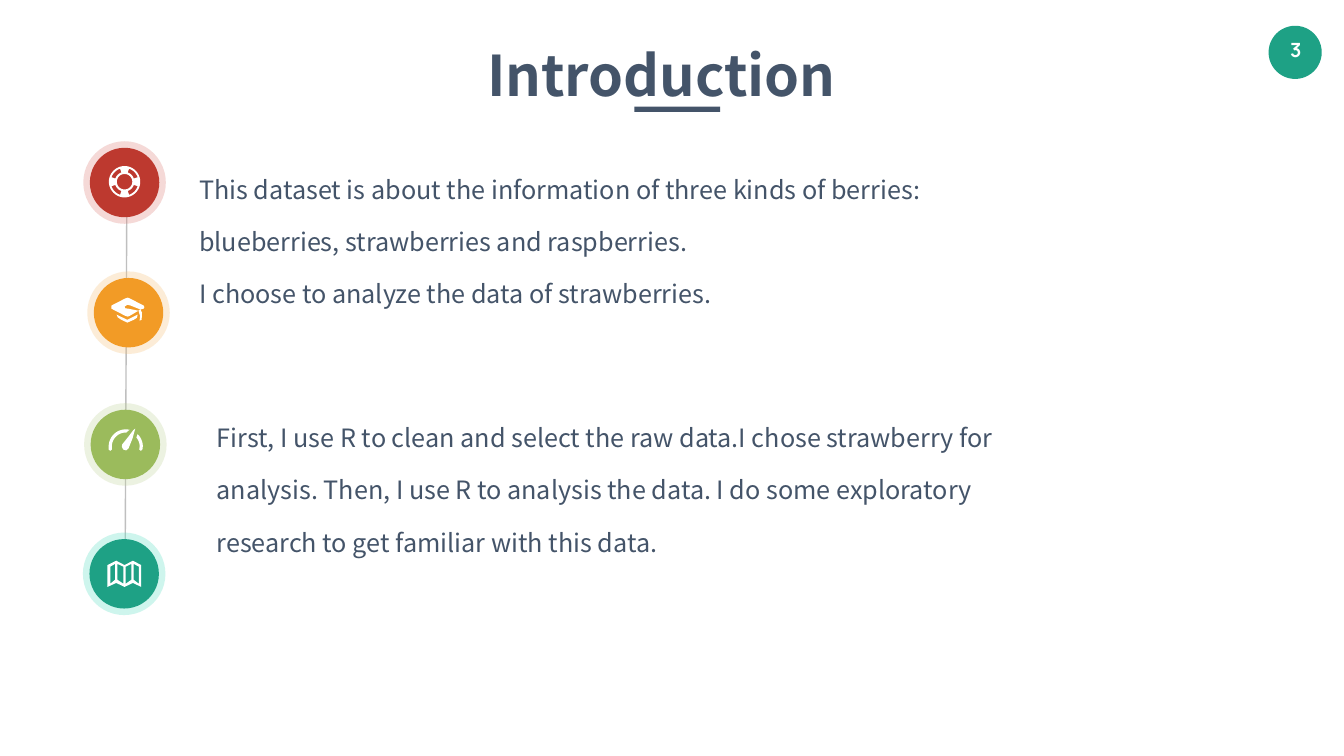
from dataclasses import dataclass
from math import cos, radians, sin

from lxml import etree
from pptx import Presentation
from pptx.dml.color import RGBColor
from pptx.enum.shapes import MSO_CONNECTOR, MSO_SHAPE
from pptx.enum.text import PP_ALIGN
from pptx.oxml.ns import qn
from pptx.util import Cm, Pt

OVAL, RECT = MSO_SHAPE.OVAL, MSO_SHAPE.RECTANGLE
LINE = MSO_CONNECTOR.STRAIGHT
CENTER, JUST = PP_ALIGN.CENTER, PP_ALIGN.JUSTIFY


@dataclass(frozen=True)
class Theme:
    ink: str = "445469"
    white: str = "FFFFFF"
    rail: str = "BFBFBF"
    red: tuple = ("BD392F", "DE827B")
    orange: tuple = ("F29B26", "F7C37D")
    green: tuple = ("9BBB5C", "C3D69D")
    teal: tuple = ("1EA185", "5EE1C5")
    font: str = "Noto Sans CJK SC"
    digit: str = "Manrope"
    title: int = 40
    body: int = 18
    page: int = 14


class Deck:
    def __init__(self, theme):
        self.theme = theme
        self.prs = Presentation()
        self.prs.slide_width, self.prs.slide_height = Cm(33.87), Cm(19.05)
        self.shapes = self.prs.slides.add_slide(self.prs.slide_layouts[6]).shapes

    def paint(self, shape, color, alpha=None):
        shape.shadow.inherit = False
        shape.fill.solid()
        shape.fill.fore_color.rgb = RGBColor.from_string(color)
        shape.line.fill.background()
        if alpha:
            tint = shape.fill._xPr.find(".//" + qn("a:srgbClr"))
            etree.SubElement(tint, qn("a:alpha"), val=str(alpha * 1000))

    def block(self, kind, x, y, w, h, color, alpha=None):
        shape = self.shapes.add_shape(kind, Cm(x), Cm(y), Cm(w), Cm(h))
        self.paint(shape, color, alpha)

    def disc(self, x, y, size, color, alpha=None):
        self.block(OVAL, x - size / 2, y - size / 2, size, size, color, alpha)

    def rule(self, x1, y1, x2, y2, color):
        line = self.shapes.add_connector(LINE, Cm(x1), Cm(y1), Cm(x2), Cm(y2))
        line.line.color.rgb = RGBColor.from_string(color)
        line.line.width = Pt(1)
        etree.SubElement(line._element.spPr, qn("a:effectLst"))

    def icon(self, x, y, loops):
        """Loops hold points in hundredths of a centimetre around (x, y)."""
        build = None
        for loop in loops:
            pts = [(x * 1000 + 10 * px, y * 1000 + 10 * py) for px, py in loop]
            if build is None:
                build = self.shapes.build_freeform(*pts[0], scale=Cm(1) / 1000)
            else:
                build.move_to(*pts[0])
            build.add_line_segments(pts[1:], close=True)
        self.paint(build.convert_to_shape(), self.theme.white)

    def badge(self, x, y, colors, loops):
        core, halo = colors
        self.disc(x, y, 2.08, halo, 30)
        self.disc(x, y, 1.75, core)
        self.icon(x, y, loops)

    def text(self, x, y, w, h, lines, size, color, align, pad, font=None,
             bold=False, pitch=None, after=0, wrap=True):
        frame = self.shapes.add_textbox(Cm(x), Cm(y), Cm(w), Cm(h)).text_frame
        frame.word_wrap = wrap
        frame.margin_left = frame.margin_right = Cm(pad)
        frame.margin_top = frame.margin_bottom = Cm(pad / 2)
        frame.text = "\n".join(lines)
        for para in frame.paragraphs:
            para.alignment = align
            para.space_after = Pt(after)
            if pitch:
                para.line_spacing = Pt(pitch)
            para.font.name = font or self.theme.font
            para.font.size = Pt(size)
            para.font.bold = bold
            para.font.color.rgb = RGBColor.from_string(color)


def arc(r, start, end, x=0, y=0, steps=24):
    turns = [radians(start + (end - start) * i / steps) for i in range(steps + 1)]
    return [(x + r * cos(t), y + r * sin(t)) for t in turns]


def buoy():
    slots = [arc(34.8, mid - 26, mid + 26, y=-2) + arc(24.6, mid + 26, mid - 26, y=-2)
             for mid in range(45, 360, 90)]
    return [arc(r, 0, 360, y=-2, steps=48) for r in (39.5, 19.5)] + slots


def cap():
    board = [(38, -18), (3, -36), (-2, -38), (-8, -36), (-43, -18), (-43, -10),
             (-8, 8), (-2, 10), (3, 8), (25, -5), (0, -10), (-8, -11),
             (-10, -15), (-3, -20), (5, -18), (30, -8), (38, -10), (40, -14)]
    base = [(-30, 5), (-27, 12), (-18, 18), (-3, 25), (13, 18), (21, 13),
            (23, 5), (-3, 18)]
    tassel = [(28, 20), (33, 18), (34, 0), (30, -8), (25, -5), (29, 8)]
    return [board, base, tassel]


def gauge():
    left = (arc(43, 180, 283, 1, 5) + arc(35, 272, 180, 1, 5)
            + [(-34, 13), (-38, 16), (-42, 13)])
    right = (arc(43, -46, 0, 1, 5) + [(43, 13), (39, 16), (35, 13)]
             + arc(35, 0, -40, 1, 5))
    needle = [(-8, 0), (-9, 6), (-5, 13), (2, 15), (8, 10), (18, -15),
              (25, -40), (20, -36), (8, -20)]
    return [left, right, needle]


def chart():
    folds = list(zip((-42, -20, 1, 22, 43), (0, 1, 0, 1, 0)))
    edge = ([(x, -22 - 11 * up) for x, up in folds]
            + [(x, 33 - 10 * up) for x, up in reversed(folds)])
    panes = []
    for i, (l, r) in enumerate([(-35, -23), (-17, -2), (4, 18), (24, 37)]):
        up, down = i % 2, 1 - i % 2
        panes.append([(l, -18 - 7 * up), (r, -18 - 7 * down),
                      (r, 25 - 10 * down), (l, 25 - 10 * up)])
    return [edge] + panes


theme = Theme()
deck = Deck(theme)

# Page number
deck.disc(32.64, 1.32, 1.34, theme.teal[0])
deck.text(32.24, 0.84, 0.84, 0.84, ["3"], theme.page, theme.white, CENTER, 0.25,
          font=theme.digit, bold=True, wrap=False)

# Title
deck.text(8.08, 0.82, 17.17, 1.9, ["Introduction"], theme.title, theme.ink, CENTER,
          0.12, bold=True, pitch=52)
deck.block(RECT, 15.99, 2.69, 2.16, 0.13, theme.ink)

# Timeline
deck.rule(3.15, 15.04, 3.2, 4.11, theme.rail)
for x, y, colors, loops in [(3.14, 4.6, theme.red, buoy()),
                            (3.24, 7.88, theme.orange, cap()),
                            (3.16, 11.2, theme.green, gauge()),
                            (3.13, 14.46, theme.teal, chart())]:
    deck.badge(x, y, colors, loops)

# Paragraphs
for x, y, w, pad, lines in [
    (4.72, 4.24, 22.07, 0.3, [
        "This dataset is about the information of three kinds of berries:",
        "blueberries, strawberries and raspberries.",
        "I choose to analyze the data of strawberries."]),
    (5.21, 10.52, 21.36, 0.25, [
        "First, I use R to clean and select the raw data.I chose strawberry for",
        "analysis. Then, I use R to analysis the data. I do some exploratory",
        "research to get familiar with this data."]),
]:
    deck.text(x, y, w, 3.74, lines, theme.body, theme.ink, JUST, pad,
              pitch=21.4, after=16)

deck.prs.save("out.pptx")
